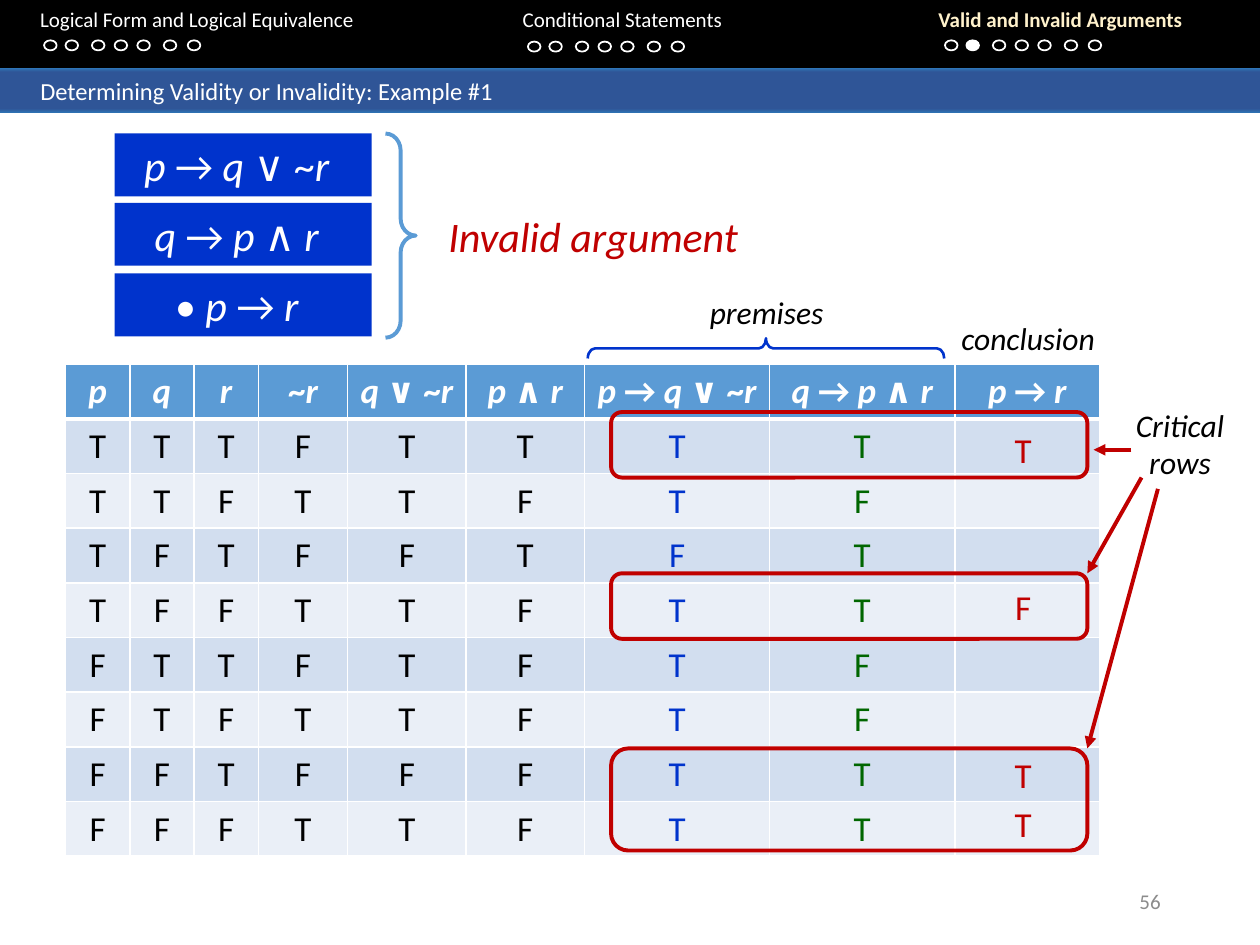
from copy import deepcopy
from dataclasses import dataclass
from itertools import groupby

from lxml.etree import SubElement
from pptx import Presentation
from pptx.dml.color import RGBColor as Rgb
from pptx.enum.shapes import MSO_CONNECTOR as Link, MSO_SHAPE as Kind
from pptx.enum.text import MSO_ANCHOR as Anchor, PP_ALIGN as Align
from pptx.oxml import parse_xml
from pptx.oxml.ns import nsdecls, qn
from pptx.util import Inches, Pt


@dataclass(frozen=True)
class Theme:
    face: str = "Calibri"
    white: str = "FFFFFF"
    black: str = "000000"
    cream: str = "FFF2CC"
    gray: str = "8C8C8C"
    blue: str = "0033CC"
    green: str = "006600"
    red: str = "C00000"
    sky: str = "5B9BD5"
    edge: str = "2E75B6"
    navy: str = "2F5597"
    bands: tuple = ("D2DEEF", "EAEFF7")
    small: int = 12
    title: int = 14
    label: int = 18
    cell: int = 20
    big: int = 24


look = Theme()
deck = Presentation()
deck.slide_width, deck.slide_height = Inches(10), Inches(7.5)
slide = deck.slides.add_slide(deck.slide_layouts[6])
shapes = slide.shapes


def put(kind, box, fill=None, line=None, width=1):
    """Add a preset shape, or a text box when kind is None."""
    box = [Inches(n) for n in box]
    if kind is None:
        item = shapes.add_textbox(*box)
    else:
        item = shapes.add_shape(kind, *box)
        item.shadow.inherit = False
        item.fill.background()
        item.line.fill.background()
    if fill:
        item.fill.solid()
        item.fill.fore_color.rgb = Rgb.from_string(fill)
    if line:
        item.line.color.rgb = Rgb.from_string(line)
        item.line.width = Pt(width)
    item.text_frame.word_wrap = True
    return item


def say(frame, text, size, color, align=Align.CENTER, bold=False, italic=False, math=False):
    """Write one paragraph; in math, only the letters are italic."""
    para = frame.paragraphs[0]
    para.alignment = align
    font = para.font
    font.name, font.size, font.bold, font.italic = look.face, Pt(size), bold, italic
    font.color.rgb = Rgb.from_string(color)
    for slant, part in groupby(text, str.isalpha) if math else [(italic, text)]:
        run = para.add_run()
        run.text = "".join(part)
        if math:
            run.font.italic = slant
    return para


# Navigation header
put(Kind.RECTANGLE, (0, -0.02, 10, 0.56), look.black)
head = put(None, (0, 0, 10, 0.5))
para = say(head.text_frame, "\tLogical Form and Logical Equivalence\tConditional Statements\t",
           look.small, look.white, Align.LEFT)
tabs = SubElement(para._p.get_or_add_pPr(), qn("a:tabLst"))
para._p.pPr.insert(0, tabs)
for stop in (0.22, 4.05, 7.35):
    SubElement(tabs, qn("a:tab"), pos=str(Inches(stop)), algn="l")
now = para.add_run()
now.text = "Valid and Invalid Arguments"
now.font.bold = True
now.font.color.rgb = Rgb.from_string(look.cream)

# Progress dots
for part, (left, top) in enumerate([(0.35, 0.32), (4.19, 0.33), (7.5, 0.32)]):
    for step, gap in enumerate((0, 0.17, 0.38, 0.56, 0.74, 0.95, 1.14)):
        here = (part, step) == (2, 1)
        put(Kind.OVAL, (left + gap, top, 0.1, 0.08), look.white if here else None, look.white)

# Title bar
bar = put(Kind.RECTANGLE, (0, 0.54, 10, 0.36))
bar.fill.gradient()
bar.fill.gradient_angle = 90
stops = bar._element.spPr.find(".//" + qn("a:gsLst"))
for stop in list(stops):
    stops.append(deepcopy(stop))
for stop, (place, color) in zip(bar.fill.gradient_stops, [
        (0, look.edge), (0.11, look.navy), (0.91, look.navy), (1, look.edge)]):
    stop.position = place
    stop.color.rgb = Rgb.from_string(color)
bar.text_frame.margin_left = Inches(0.32)
bar.text_frame.vertical_anchor = Anchor.MIDDLE
say(bar.text_frame, "Determining Validity or Invalidity: Example #1",
    look.title, look.white, Align.LEFT)

# Slide number
num = put(None, (7.06, 6.95, 2.25, 0.4))
num.text_frame.vertical_anchor = Anchor.MIDDLE
say(num.text_frame, "56", look.small, look.gray, Align.RIGHT)

# Argument form
for top, text in [(1.06, "p → q ∨ ~r"), (1.61, "q → p ∧ r"), (2.17, "• p → r")]:
    step = put(Kind.RECTANGLE, (0.91, top, 2.04, 0.5), look.blue)
    step.text_frame.margin_right = Inches(0.2)
    step.text_frame.vertical_anchor = Anchor.MIDDLE
    say(step.text_frame, text, look.big, look.white, math=True)

# Truth table
heads = ["p", "q", "r", "~r", "q ∨ ~r", "p ∧ r", "p → q ∨ ~r", "q → p ∧ r", "p → r"]
rows = ["TTTFTTTT", "TTFTTFTF", "TFTFFTFT", "TFFTTFTT",
        "FTTFTFTF", "FTFTTFTF", "FFTFFFTT", "FFFTTFTT"]
inks = [look.black] * 6 + [look.blue, look.green]
frame = shapes.add_table(9, 9, Inches(0.52), Inches(2.89), Inches(8.21), Inches(3.9))
grid = frame.table
for col, width in zip(grid.columns, (0.51, 0.51, 0.51, 0.71, 0.94, 0.94, 1.47, 1.47, 1.15)):
    col.width = Inches(width)
for r, row in enumerate([heads] + rows):
    for c in range(9):
        cell = grid.cell(r, c)
        cell.fill.solid()
        cell.fill.fore_color.rgb = Rgb.from_string(look.bands[(r - 1) % 2] if r else look.sky)
        for spot, side in enumerate("LRTB"):
            thick = 3 if (r, side) in ((0, "B"), (1, "T")) else 1
            cell._tc.get_or_add_tcPr().insert(spot, parse_xml(
                f'<a:ln{side} {nsdecls("a")} w="{Pt(thick)}"><a:solidFill>'
                f'<a:srgbClr val="{look.white}"/></a:solidFill></a:ln{side}>'))
        if r == 0:
            say(cell.text_frame, row[c], look.cell, look.white, bold=True, math=True)
        elif c < len(row):
            say(cell.text_frame, row[c], look.cell, inks[c])

# Critical rows and their conclusions
for top, high in [(3.27, 0.52), (4.55, 0.52), (5.94, 0.81)]:
    put(Kind.ROUNDED_RECTANGLE, (4.85, top, 3.78, high), line=look.red, width=2.25)
for top, text in [(3.35, "T"), (4.6, "F"), (5.93, "T"), (6.32, "T")]:
    say(put(None, (7.76, top, 0.72, 0.44)).text_frame, text, look.cell, look.red)

# Braces
for box, turn, bend, color, width in [
        ((3.06, 1.06, 0.24, 1.62), 0, 0.56, look.sky, 2.25),
        ((6, 1.35, 0.16, 2.83), 270, 0.36, look.blue, 1.5)]:
    brace = put(Kind.RIGHT_BRACE, box, line=color, width=width)
    brace.rotation = turn
    brace.adjustments[0] = bend

# Labels
for box, text, size, color, align in [
        ((3.46, 1.62, 2.62, 0.5), "Invalid argument", look.big, look.red, Align.LEFT),
        ((5.46, 2.28, 1.25, 0.4), "premises", look.label, look.black, Align.CENTER),
        ((7.46, 2.48, 1.4, 0.4), "conclusion", look.label, look.black, Align.CENTER),
        ((8.84, 3.17, 1.05, 0.71), "Critical rows", look.label, look.black, Align.CENTER)]:
    say(put(None, box).text_frame, text, size, color, align, italic=True)

# Arrows to the critical rows
for ends in [(8.98, 3.57, 8.68, 3.57), (9.06, 3.79, 8.63, 4.55), (9.19, 3.88, 8.63, 5.94)]:
    arrow = shapes.add_connector(Link.STRAIGHT, *[Inches(n) for n in ends])
    arrow.line.color.rgb = Rgb.from_string(look.red)
    arrow.line.width = Pt(2.25)
    SubElement(arrow.line._get_or_add_ln(), qn("a:tailEnd"), type="triangle")
    SubElement(arrow._element.spPr, qn("a:effectLst"))

deck.save("out.pptx")
